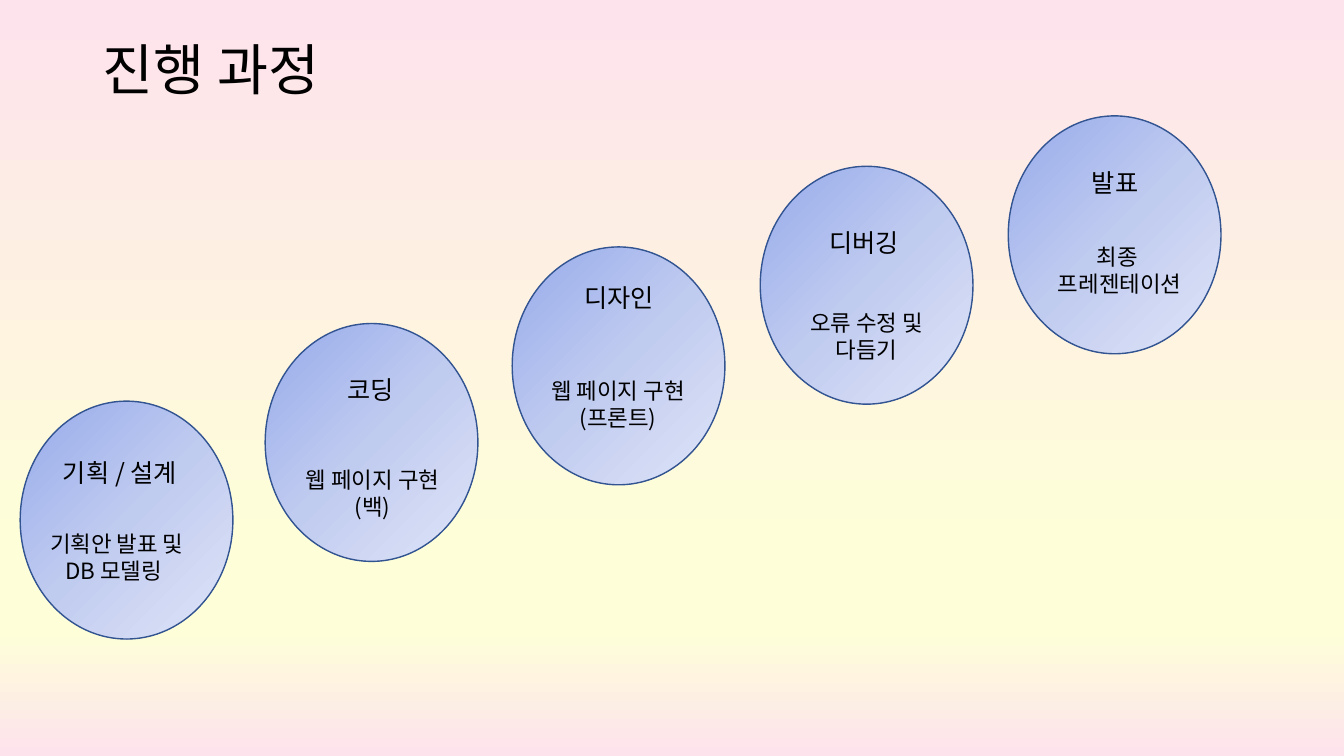
import pptx
import pptx.util
import pptx.dml.color
import pptx.enum.shapes
import pptx.enum.text
import pptx.oxml
import pptx.oxml.ns
import lxml.etree

Inches = pptx.util.Inches
RGBColor = pptx.dml.color.RGBColor
ALIGN = pptx.enum.text.PP_ALIGN
qn = pptx.oxml.ns.qn

FONT = "Noto Sans CJK KR"
BLACK = RGBColor(0x00, 0x00, 0x00)
PINK = RGBColor(0xFD, 0xE3, 0xEC)
CREAM = RGBColor(0xFE, 0xFF, 0xD9)
OUTLINE = RGBColor(0x32, 0x54, 0x91)
BLUE = RGBColor(0x96, 0xAB, 0xEA)
SOFT_BLUE = RGBColor(0xC0, 0xCB, 0xF0)
PALE_BLUE = RGBColor(0xE0, 0xE5, 0xF7)

PAGE_STOPS = [(0, PINK), (74, CREAM), (83, CREAM), (100, PINK)]
STEP_STOPS = [(0, BLUE), (50, SOFT_BLUE), (100, PALE_BLUE)]
STEP_WIDTH, STEP_HEIGHT = 2.11, 2.36
HEADING_WIDTH, HEADING_HEIGHT = 1.5, 0.51

# Circle corner, heading and its offset, description lines and their box offset and size
STEPS = [
    ((0.2, 3.98), "기획 / 설계", (0.24, 0.45),
     ["기획안 발표 및", "DB 모델링"], (0.2, 1.28, 2.11, 0.54)),
    ((2.63, 3.21), "코딩", (0.3, 0.4),
     ["웹 페이지 구현", "(백)"], (0.01, 1.43, 2.11, 0.51)),
    ((5.08, 2.45), "디자인", (0.31, 0.25),
     ["웹 페이지 구현", "(프론트)"], (0.1, 1.23, 1.9, 0.66)),
    ((7.54, 1.65), "디버깅 ", (0.31, 0.5),
     ["오류 수정 및 다듬기"], (0.22, 1.37, 1.67, 0.63)),
    ((10, 1.15), "발표", (0.31, 0.4),
     ["최종 ", "프레젠테이션"], (0.1, 1.18, 2.01, 0.69)),
]


def set_gradient(fill, stops, angle):
    """Fill with (percent, colour) stops; angle is clockwise in degrees."""
    fill.gradient()
    fill.gradient_angle = 360 - angle
    stop_list = fill._xPr.find(qn("a:gradFill")).find(qn("a:gsLst"))
    for stop in list(stop_list):
        stop_list.remove(stop)
    for percent, colour in stops:
        stop = lxml.etree.SubElement(stop_list, qn("a:gs"), pos=str(percent * 1000))
        lxml.etree.SubElement(stop, qn("a:srgbClr"), val=str(colour))


def add_text(page, left, top, width, height, lines, size, align=ALIGN.CENTER):
    box = page.shapes.add_textbox(*map(Inches, (left, top, width, height)))
    frame = box.text_frame
    frame.word_wrap = True
    frame.vertical_anchor = pptx.enum.text.MSO_ANCHOR.MIDDLE
    frame.text = "\n".join(lines)
    for para in frame.paragraphs:
        para.alignment = align
        para.font.size = pptx.util.Pt(size)
        para.font.color.rgb = BLACK
        para.font.name = FONT
        # East Asian typeface for the Korean text
        defaults = para._p.get_or_add_pPr().find(qn("a:defRPr"))
        lxml.etree.SubElement(defaults, qn("a:ea"), typeface=FONT)
    return frame


def add_title(page, left, top, width, height):
    frame = add_text(page, left, top, width, height, ["진행 과정"], 39.6, ALIGN.LEFT)
    frame.paragraphs[0].line_spacing = 0.9


def add_circle(page, left, top):
    circle = page.shapes.add_shape(
        pptx.enum.shapes.MSO_SHAPE.OVAL,
        *map(Inches, (left, top, STEP_WIDTH, STEP_HEIGHT)))
    circle.shadow.inherit = False
    set_gradient(circle.fill, STEP_STOPS, 45)
    circle.line.color.rgb = OUTLINE
    circle.line.width = pptx.util.Pt(1)


def add_step(page, corner, heading, heading_offset, lines, detail):
    left, top = corner
    add_circle(page, left, top)
    add_text(page, left + heading_offset[0], top + heading_offset[1],
             HEADING_WIDTH, HEADING_HEIGHT, [heading], 18)
    detail_left, detail_top, width, height = detail
    return add_text(page, left + detail_left, top + detail_top, width, height, lines, 16)


def main():
    deck = pptx.Presentation()
    deck.slide_width, deck.slide_height = Inches(13.33), Inches(7.5)
    page = deck.slides.add_slide(deck.slide_layouts[6])
    set_gradient(page.background.fill, PAGE_STOPS, 90)

    add_title(page, 0.92, 0.4, 11.5, 0.64)
    details = [add_step(page, *step) for step in STEPS]

    # The first description is left-aligned, with its second line indented
    for para, indent in zip(details[0].paragraphs, (0, 0.15)):
        para.alignment = ALIGN.LEFT
        para._p.get_or_add_pPr().set("marL", str(Inches(indent)))

    deck.save("out.pptx")


if __name__ == "__main__":
    main()
